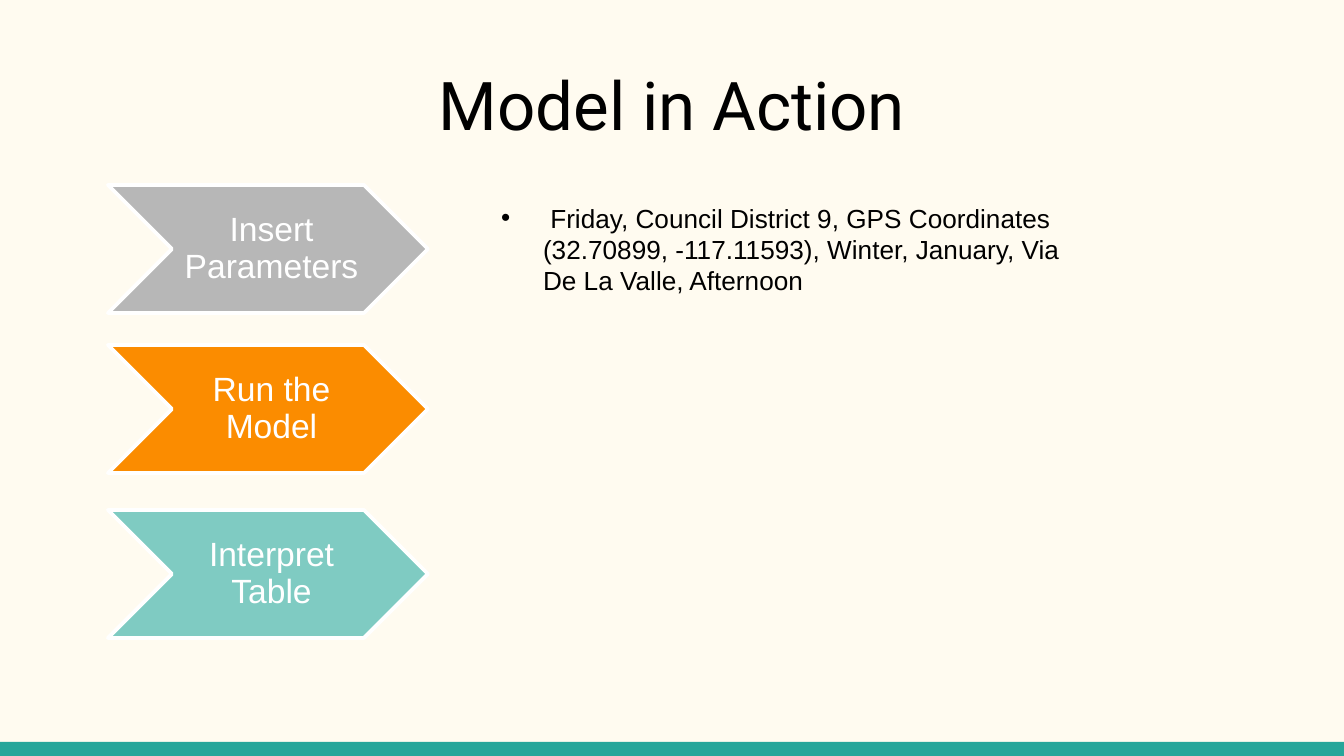
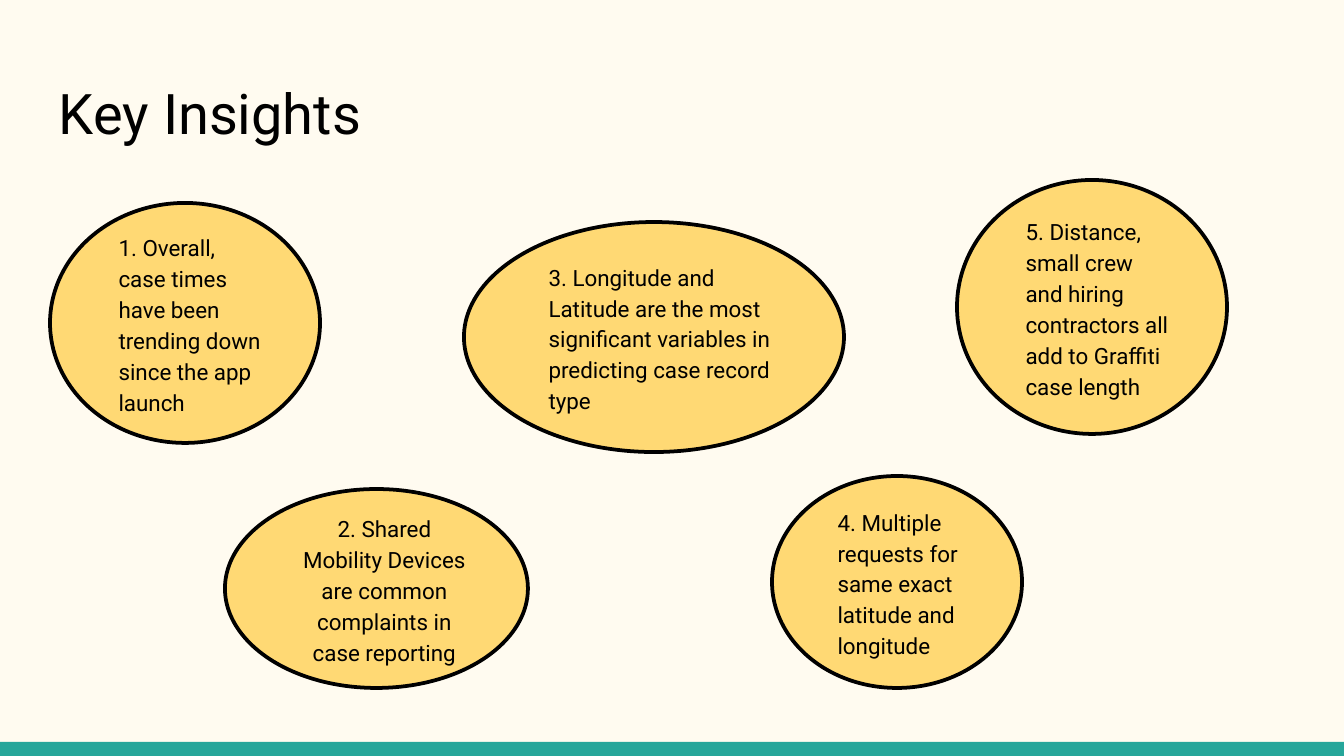
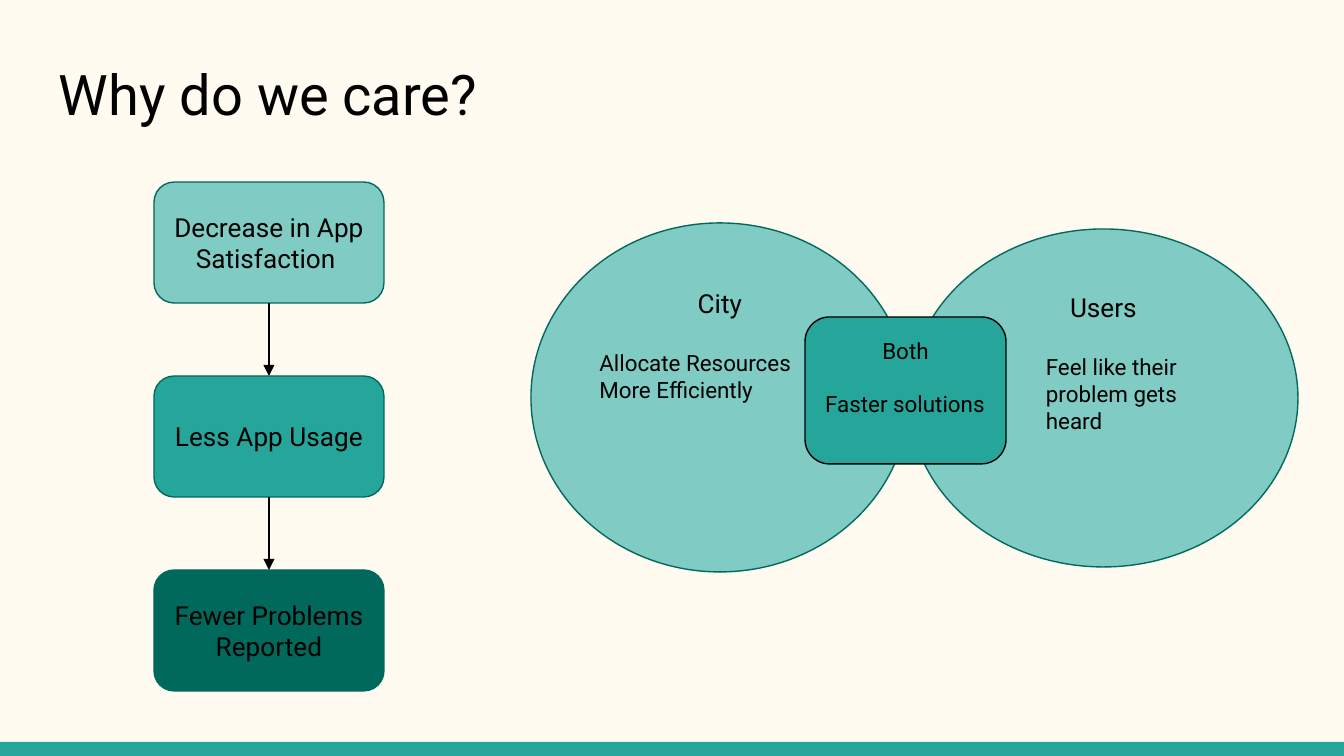
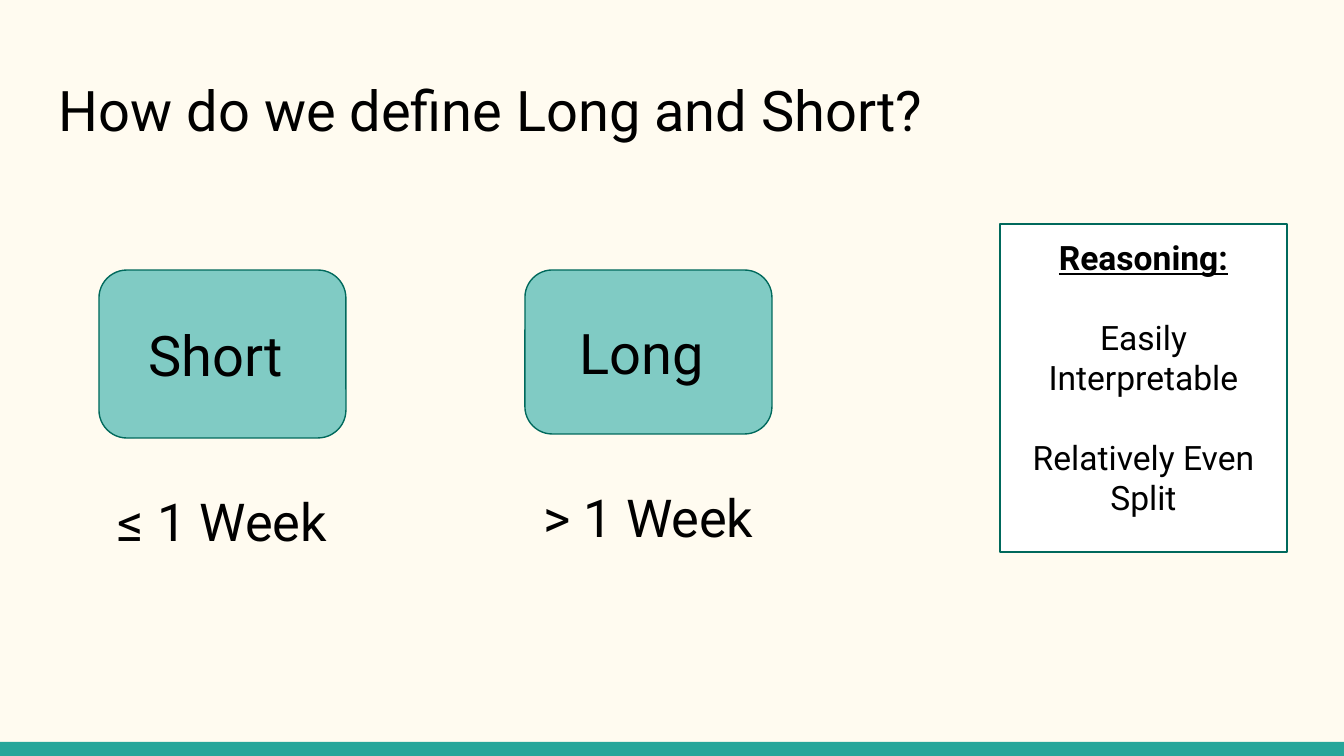
import pptx
import pptx.util
from lxml import etree
from pptx.dml.color import RGBColor
from pptx.enum.shapes import MSO_CONNECTOR, MSO_SHAPE
from pptx.enum.text import MSO_ANCHOR, MSO_AUTO_SIZE, PP_ALIGN
from pptx.oxml.ns import qn

SCALE = 914400 / 134.4
WIDE, HIGH = 1344, 756
INK = {
    "cream": "FFFBF0", "white": "FFFFFF", "black": "000000",
    "gray": "B7B7B7", "orange": "FB8C00", "mint": "7FCBC2",
    "yellow": "FFD974", "light": "80CBC4", "teal": "26A69A", "dark": "00695C",
}
ALIGN = {"left": PP_ALIGN.LEFT, "center": PP_ALIGN.CENTER}
ANCHOR = {"top": MSO_ANCHOR.TOP, "middle": MSO_ANCHOR.MIDDLE}
LEAD = 1.17  # height of a Roboto line relative to its size


def px(num):
    return pptx.util.Emu(round(num * SCALE))


def color(name):
    return RGBColor.from_string(INK[name])


def place(shape, box):
    shape.left, shape.top, shape.width, shape.height = map(px, box)


def write(frame, text, anchor="top", inset=(13, 13, 13, 13), **style):
    """Fill a frame; text is a string or a list of (string, style changes)."""
    frame.word_wrap = True
    frame.auto_size = MSO_AUTO_SIZE.NONE
    frame.vertical_anchor = ANCHOR[anchor]
    (frame.margin_left, frame.margin_top,
     frame.margin_right, frame.margin_bottom) = map(px, inset)
    items = [(text, {})] if isinstance(text, str) else text
    for i, (words, change) in enumerate(items):
        para = frame.add_paragraph() if i else frame.paragraphs[0]
        add_run(para, words, **{**style, **change})


def add_run(para, words, size=14, font="Roboto", ink="black", align="left",
            bold=False, line=False, lead=1.0, gap=0, indent=0, bullet=None):
    props = para._p.get_or_add_pPr()
    props.set("marL", str(px(indent)))
    props.set("indent", str(-px(indent) if bullet else 0))
    para.alignment = ALIGN[align]
    para.line_spacing = lead
    para.space_before = pptx.util.Pt(round(gap, 1))
    if bullet:
        etree.SubElement(props, qn("a:buFont")).set("typeface", "Arial")
        etree.SubElement(props, qn("a:buChar")).set("char", bullet)
    run = para.add_run()
    run.text = words
    run.font.name, run.font.size = font, pptx.util.Pt(size)
    run.font.bold, run.font.underline = bold, line
    run.font.color.rgb = color(ink)


def draw(slide, kind, box, fill, edge=None, width=0.75):
    shape = slide.shapes.add_shape(kind, *map(px, box))
    shape.shadow.inherit = False
    shape.fill.solid()
    shape.fill.fore_color.rgb = color(fill)
    if edge:
        shape.line.color.rgb = color(edge)
        shape.line.width = pptx.util.Pt(width)
    else:
        shape.line.fill.background()
    return shape


def label(slide, box, text, **style):
    area = slide.shapes.add_textbox(*map(px, box))
    write(area.text_frame, text, **style)


def arrow(slide, x, top, end):
    link = slide.shapes.add_connector(
        MSO_CONNECTOR.STRAIGHT, px(x), px(top), px(x), px(end))
    link.line.color.rgb = color("black")
    link.line.width = pptx.util.Pt(0.75)
    props = link.element.spPr
    etree.SubElement(props.find(qn("a:ln")), qn("a:tailEnd")).set("type", "triangle")
    etree.SubElement(props, qn("a:effectLst"))


def start(deck, title, box, layout=5, size=30, align="left"):
    slide = deck.slides.add_slide(deck.slide_layouts[layout])
    place(slide.shapes.title, box)
    write(slide.shapes.title.text_frame, title, size=size, align=align)
    return slide


def brand(deck, slide):
    """Give the master its background and bottom band."""
    master = deck.slide_master
    master.background.fill.solid()
    master.background.fill.fore_color.rgb = color("cream")
    band = draw(slide, MSO_SHAPE.RECTANGLE, (0, 742, WIDE, 14), "teal")
    master.shapes.element.append(band.element)


def step(slide, box, text, fill):
    x, y, w, h = box
    draw(slide, MSO_SHAPE.CHEVRON, box, fill, "white", 2)
    label(slide, (x + h // 2, y, w - h, h), text, anchor="middle",
          inset=(11, 4, 4, 4), size=18, font="Arial", ink="white",
          align="center", lead=0.9)


def action(deck):
    slide = start(deck, "Model in Action", (341, 50, 662, 90), 1, 36, "center")
    brand(deck, slide)
    steps = [(185, "Insert Parameters", "gray"), (345, "Run the Model", "orange"),
             (510, "Interpret Table", "mint")]
    for y, text, fill in steps:
        step(slide, (108, y, 320, 128), text, fill)
    body = slide.placeholders[1]
    place(body, (488, 195, 591, 109))
    write(body.text_frame,
          " Friday, Council District 9, GPS Coordinates (32.70899, -117.11593), "
          "Winter, January, Via De La Valle, Afternoon",
          inset=(13, 7, 13, 7), font="Arial", indent=42, bullet="•")


def insights(deck):
    slide = start(deck, "Key Insights", (46, 66, 1252, 90))
    notes = [
        ((50, 203, 270, 240), "left",
         "1. Overall, case times have been trending down since the app launch"),
        ((225, 489, 303, 199), "center",
         "2. Shared Mobility Devices are common complaints in case reporting"),
        ((772, 476, 250, 212), "left",
         "4. Multiple requests for same exact latitude and longitude"),
        ((464, 222, 380, 230), "left",
         "3. Longitude and Latitude are the most significant variables in "
         "predicting case record type"),
        ((957, 180, 270, 254), "left",
         "5. Distance, small crew and hiring contractors all add to Graffiti "
         "case length"),
    ]
    for box, align, text in notes:
        oval = draw(slide, MSO_SHAPE.OVAL, box, "yellow", "black", 2)
        write(oval.text_frame, text, anchor="middle", inset=(13, 7, 13, 7),
              size=12, align=align, lead=1.15, indent=16)


def flow(slide, box):
    """Stack three boxes joined by arrows."""
    x, y, w, h = box
    tall, pitch = 121, (h - 121) // 2
    parts = [("Decrease in App Satisfaction ", "light"), ("Less App Usage", "teal"),
             ("Fewer Problems Reported", "dark")]
    for i, (text, fill) in enumerate(parts):
        top = y + i * pitch
        if i:
            arrow(slide, x + w // 2, top - pitch + tall, top)
        card = draw(slide, MSO_SHAPE.ROUNDED_RECTANGLE, (x, top, w, tall), fill, "dark")
        write(card.text_frame, text, anchor="middle", align="center")


def venn(slide, box):
    x, y, w, h = box
    oval, card = MSO_SHAPE.OVAL, MSO_SHAPE.ROUNDED_RECTANGLE
    parts = [
        (oval, (0, 0, 378, h), "light", "dark", 14, "City",
         ["Allocate Resources", "More Efficiently"], 0),
        (oval, (378, 6, w - 378, h - 11), "light", "dark", 14, "Users",
         ["Feel like their problem gets heard"], 67),
        (card, (274, 94, 201, 147), "teal", "black", 12, "Both",
         ["Faster solutions"], 0),
    ]
    for kind, (dx, dy, pw, ph), fill, edge, size, head, lines, indent in parts:
        shape = draw(slide, kind, (x + dx, y + dy, pw, ph), fill, edge)
        text = [(head, {"size": size, "align": "center"})]
        for i, line in enumerate(lines):
            text.append((line, {"gap": 0 if i else size * LEAD, "indent": indent}))
        write(shape.text_frame, text, size=12)


def care(deck):
    slide = start(deck, "Why do we care?", (46, 47, 1252, 90))
    flow(slide, (154, 182, 230, 509))
    venn(slide, (531, 223, 767, 349))


def term(slide, box, name, span, area):
    card = draw(slide, MSO_SHAPE.ROUNDED_RECTANGLE, box, "light", "dark")
    write(card.text_frame, name, anchor="middle", size=30, align="center")
    label(slide, area, span, size=28, align="center")


def define(deck):
    slide = start(deck, "How do we define Long and Short?", (46, 62, 1252, 90))
    term(slide, (525, 270, 247, 164), "Long ", "> 1 Week", (492, 472, 313, 107))
    term(slide, (99, 270, 247, 168), "Short ", "≤ 1 Week", (34, 476, 377, 99))
    panel = draw(slide, MSO_SHAPE.RECTANGLE, (1000, 224, 287, 328), "white", "dark")
    gap = {"gap": 18 * LEAD}
    write(panel.text_frame,
          [("Reasoning:", {"bold": True, "line": True}),
           ("Easily Interpretable", gap), ("Relatively Even Split", gap)],
          size=18, align="center")


def main():
    deck = pptx.Presentation()
    deck.slide_width, deck.slide_height = px(WIDE), px(HIGH)
    for build in (action, insights, care, define):
        build(deck)
    deck.save("out.pptx")


if __name__ == "__main__":
    main()
